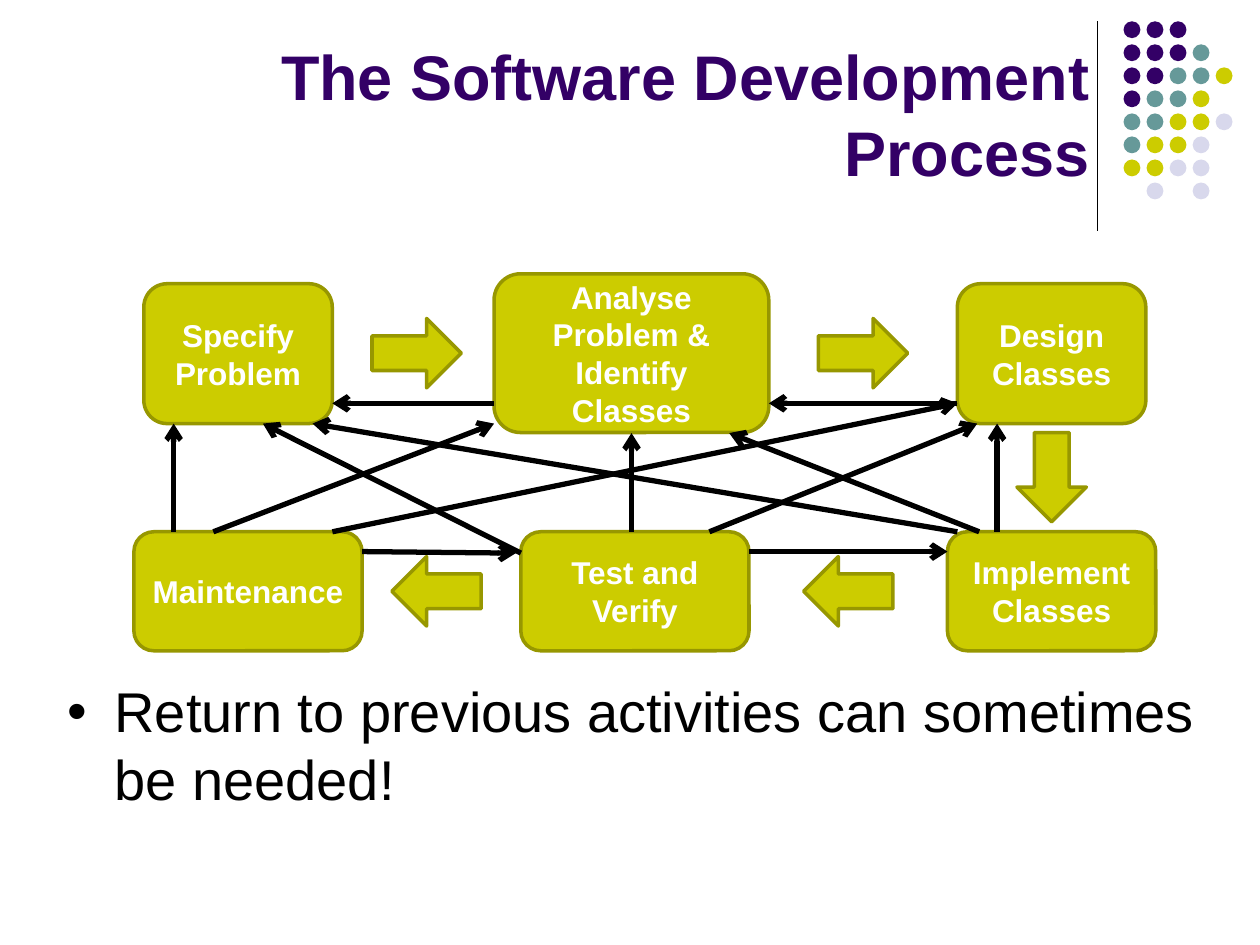
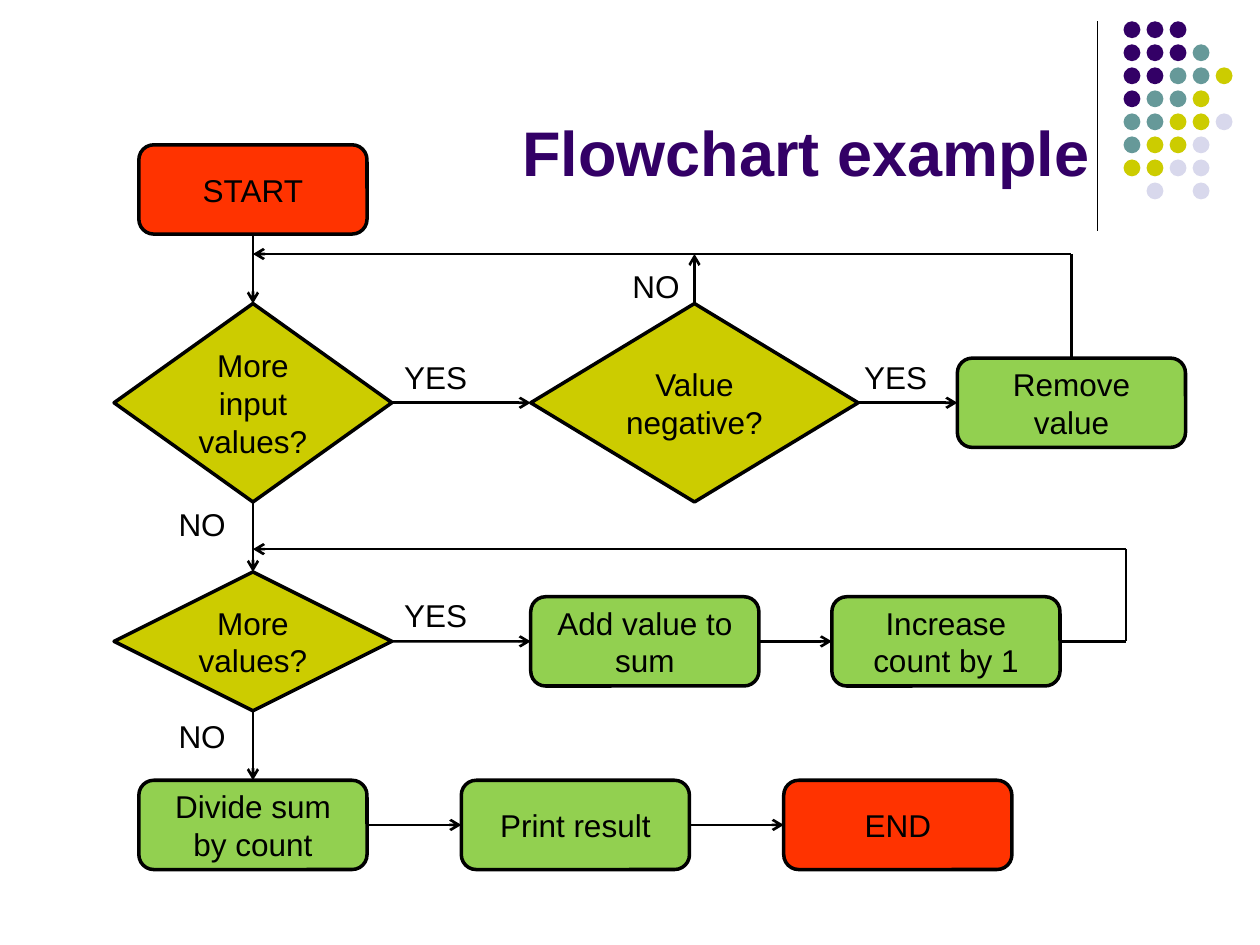
from lxml import etree
from pptx import Presentation
from pptx.dml.color import RGBColor
from pptx.enum.shapes import MSO_CONNECTOR, MSO_SHAPE
from pptx.enum.text import MSO_ANCHOR, MSO_AUTO_SIZE, PP_ALIGN
from pptx.oxml.ns import qn
from pptx.util import Cm, Pt

STRAIGHT = MSO_CONNECTOR.STRAIGHT
ROUNDED = MSO_SHAPE.ROUNDED_RECTANGLE
DECISION = MSO_SHAPE.FLOWCHART_DECISION
BLOCK_ARROW = MSO_SHAPE.RIGHT_ARROW
ELLIPSE = MSO_SHAPE.OVAL
CENTER, RIGHT, LEFT = PP_ALIGN.CENTER, PP_ALIGN.RIGHT, PP_ALIGN.LEFT
MIDDLE, BOTTOM = MSO_ANCHOR.MIDDLE, MSO_ANCHOR.BOTTOM
NO_AUTOFIT = MSO_AUTO_SIZE.NONE

FONT = "Arial"
PURPLE, TEAL, LIME, LILAC = "330066", "669999", "CCCC00", "D8D8EC"
BLACK, WHITE, OLIVE, GREEN, RED = "000000", "FFFFFF", "979700", "92D050", "FF3300"

# Connection sites of rounded rectangles and decisions
TOP_SITE, LEFT_SITE, BOTTOM_SITE, RIGHT_SITE = range(4)

DOT_ROWS = ["PPP", "PPPT", "PPTTY", "PTTY", "TTYYL", "TYYL", "YYLL", " L L"]
DOT_COLORS = {"P": PURPLE, "T": TEAL, "Y": LIME, "L": LILAC}
DOT_LEFT, DOT_TOP, DOT_SIZE, DOT_PITCH = 22.65, 0.43, 0.34, 3.25 / 7

STEP_WIDTH, STEP_HEIGHT = 4.6, 1.8


def color(hex_string):
    return RGBColor.from_string(hex_string)


def place(shape, left, top, width, height):
    shape.left, shape.top = Cm(left), Cm(top)
    shape.width, shape.height = Cm(width), Cm(height)


def write(shape, text, size, text_color, align, bold=False):
    frame = shape.text_frame
    frame.word_wrap = True
    frame.text = text
    para = frame.paragraphs[0]
    para.alignment = align
    para.font.name = FONT
    para.font.size = Pt(size)
    para.font.bold = bold
    para.font.color.rgb = color(text_color)


def add_box(shapes, kind, left, top, width, height, fill, outline=None):
    """Add a flat preset shape, with a 2 pt outline if one is given."""
    box = shapes.add_shape(kind, Cm(left), Cm(top), Cm(width), Cm(height))
    box.shadow.inherit = False
    box.fill.solid()
    box.fill.fore_color.rgb = color(fill)
    if outline:
        box.line.color.rgb = color(outline)
        box.line.width = Pt(2)
    else:
        box.line.fill.background()
    return box


def add_line(shapes, x1, y1, x2, y2, width, arrow=True):
    line = shapes.add_connector(STRAIGHT, Cm(x1), Cm(y1), Cm(x2), Cm(y2))
    line.line.color.rgb = color(BLACK)
    line.line.width = Pt(width)
    if arrow:
        etree.SubElement(line.line._get_or_add_ln(), qn("a:tailEnd"), type="arrow")
    etree.SubElement(line.element.spPr, qn("a:effectLst"))
    return line


def add_link(shapes, start, start_site, end, end_site):
    """Glue a thin arrow to the sites of two flowchart nodes."""
    link = add_line(shapes, 0, 0, 1, 1, 1.5)
    link.begin_connect(start, start_site)
    link.end_connect(end, end_site)


def add_node(shapes, kind, center_x, center_y, width, height, text, fill):
    node = add_box(shapes, kind, center_x - width / 2, center_y - height / 2,
                   width, height, fill, BLACK)
    node.text_frame.vertical_anchor = MIDDLE
    write(node, text, 18, BLACK, CENTER)
    return node


def add_step(shapes, center_x, center_y, text, fill=GREEN):
    return add_node(shapes, ROUNDED, center_x, center_y,
                    STEP_WIDTH, STEP_HEIGHT, text, fill)


def add_decision(shapes, center_x, center_y, width, height, text):
    return add_node(shapes, DECISION, center_x, center_y, width, height, text, LIME)


def add_answer(shapes, text, left, top):
    width = 1.9 if text == "YES" else 1.6
    label = shapes.add_textbox(Cm(left), Cm(top), Cm(width), Cm(1.02))
    write(label, text, 18, BLACK, LEFT)


def add_title(page, text, left):
    title = page.shapes.title
    place(title, left, 0.33, 22.22 - left, 3.6)
    title.text_frame.vertical_anchor = BOTTOM
    title.text_frame.auto_size = NO_AUTOFIT
    write(title, text, 36, PURPLE, RIGHT, bold=True)


def add_bullet(para):
    props = para._p.get_or_add_pPr()
    bullet_color = etree.SubElement(props, qn("a:buClr"))
    etree.SubElement(bullet_color, qn("a:srgbClr"), val=PURPLE)
    etree.SubElement(props, qn("a:buSzPct"), val="70000")
    etree.SubElement(props, qn("a:buFont"), typeface=FONT)
    etree.SubElement(props, qn("a:buChar"), char="●")


def decorate_master(deck, page):
    """Build the dot pattern and rule on a page, then move them to the master."""
    rule = add_line(page.shapes, 22.12, 0.43, 22.12, 4.65, 0.75, arrow=False)
    dots = page.shapes.add_group_shape()
    for row, codes in enumerate(DOT_ROWS):
        for column, code in enumerate(codes):
            if code in DOT_COLORS:
                add_box(dots.shapes, ELLIPSE, DOT_LEFT + column * DOT_PITCH,
                        DOT_TOP + row * DOT_PITCH, DOT_SIZE, DOT_SIZE,
                        DOT_COLORS[code])
    for part in (rule, dots):
        deck.slide_master.element.cSld.spTree.append(part.element)


def build_process(page):
    add_title(page, "The Software Development Process", 1.27)
    body = page.placeholders[1]
    place(body, 1.1, 13.52, 23.6, 4.65)
    body.text_frame.auto_size = NO_AUTOFIT
    add_bullet(body.text_frame.paragraphs[0])
    write(body, "Return to previous activities can sometimes be needed!",
          32, BLACK, LEFT)

    shapes = page.shapes
    activities = [
        ("Specify Problem", 2.9, 5.72, 3.8, 2.82),
        ("Analyse Problem & Identify Classes", 9.96, 5.52, 5.54, 3.2),
        ("Design Classes", 19.3, 5.72, 3.8, 2.82),
        ("Implement Classes", 19.1, 10.72, 4.2, 2.4),
        ("Test and Verify", 10.5, 10.72, 4.6, 2.4),
        ("Maintenance", 2.7, 10.72, 4.6, 2.4),
    ]
    for text, *area in activities:
        activity = add_box(shapes, ROUNDED, *area, LIME, OLIVE)
        activity.text_frame.vertical_anchor = MIDDLE
        write(activity, text, 18, WHITE, CENTER, bold=True)

    forward_arrows = [(7.5, 6.42, 0), (16.5, 6.42, 0), (20.3, 8.92, 90),
                      (16.2, 11.22, 180), (7.9, 11.22, 180)]
    for left, top, angle in forward_arrows:
        arrow = add_box(shapes, BLOCK_ARROW, left, top, 1.8, 1.4, LIME, OLIVE)
        arrow.rotation = angle

    upper_edge, lower_edge = 8.54, 10.72
    analyse_edge, upper_lane, lower_lane = 8.73, 8.13, 11.12
    return_arrows = [
        (9.96, upper_lane, 6.7, upper_lane),
        (19.3, upper_lane, 15.5, upper_lane),
        (15.1, lower_lane, 19.1, lower_lane),
        (14.3, lower_edge, 19.7, upper_edge),
        (12.73, lower_edge, 12.73, analyse_edge),
        (10.5, 11.15, 5.3, upper_edge),
        (19.3, lower_edge, 6.3, upper_edge),
        (19.74, lower_edge, 14.7, analyse_edge),
        (20.1, lower_edge, 20.1, upper_edge),
        (3.5, lower_edge, 3.5, upper_edge),
        (4.3, lower_edge, 9.96, upper_edge),
        (6.7, lower_edge, 19.3, upper_lane),
        (7.3, lower_lane, 10.4, 11.15),
    ]
    for ends in return_arrows:
        add_line(shapes, *ends, 3)


def build_flowchart(page):
    add_title(page, "Flowchart example", 5.1)
    shapes = page.shapes
    spine, input_row, sum_row, result_row = 5.1, 8.12, 12.93, 16.63

    start = add_step(shapes, spine, 3.82, "START", RED)
    more_input = add_decision(shapes, spine, input_row, 5.6, 4, "More input values?")
    negative = add_decision(shapes, 14, input_row, 6.6, 4, "Value negative?")
    remove = add_step(shapes, 21.6, input_row, "Remove value")
    more_values = add_decision(shapes, spine, sum_row, 5.6, 2.8, "More values?")
    add_value = add_step(shapes, 13, sum_row, "Add value to sum")
    increase = add_step(shapes, 19.07, sum_row, "Increase count by 1")
    divide = add_step(shapes, spine, result_row, "Divide sum by count")
    show = add_step(shapes, 11.6, result_row, "Print result")
    end = add_step(shapes, 18.1, result_row, "END", RED)

    for upper, lower in [(start, more_input), (more_input, more_values),
                         (more_values, divide)]:
        add_link(shapes, upper, BOTTOM_SITE, lower, TOP_SITE)
    for before, after in [(more_input, negative), (negative, remove),
                          (more_values, add_value), (add_value, increase),
                          (divide, show), (show, end)]:
        add_link(shapes, before, RIGHT_SITE, after, LEFT_SITE)

    input_loop, sum_loop, loop_right = 5.12, 11.07, 22.7
    add_line(shapes, 21.6, input_loop, 21.6, 7.22, 1.5, arrow=False)
    add_line(shapes, 21.6, input_loop, spine, input_loop, 1.5)
    add_line(shapes, 14, 6.12, 14, input_loop, 1.5)
    add_line(shapes, loop_right, sum_row, 21.37, sum_row, 1.5, arrow=False)
    add_line(shapes, loop_right, sum_loop, loop_right, sum_row, 1.5, arrow=False)
    add_line(shapes, loop_right, sum_loop, spine, sum_loop, 1.5)

    answers = [("YES", 17.17, 7.09), ("YES", 7.9, 7.09), ("NO", 12.5, 5.26),
               ("NO", 3.35, 10.06), ("YES", 7.9, 11.89), ("NO", 3.35, 14.33)]
    for answer in answers:
        add_answer(shapes, *answer)


def main():
    deck = Presentation()
    deck.slide_width, deck.slide_height = Cm(25.4), Cm(19.05)
    process_page = deck.slides.add_slide(deck.slide_layouts[1])
    flowchart_page = deck.slides.add_slide(deck.slide_layouts[5])
    decorate_master(deck, process_page)
    build_process(process_page)
    build_flowchart(flowchart_page)
    deck.save("out.pptx")


if __name__ == "__main__":
    main()
